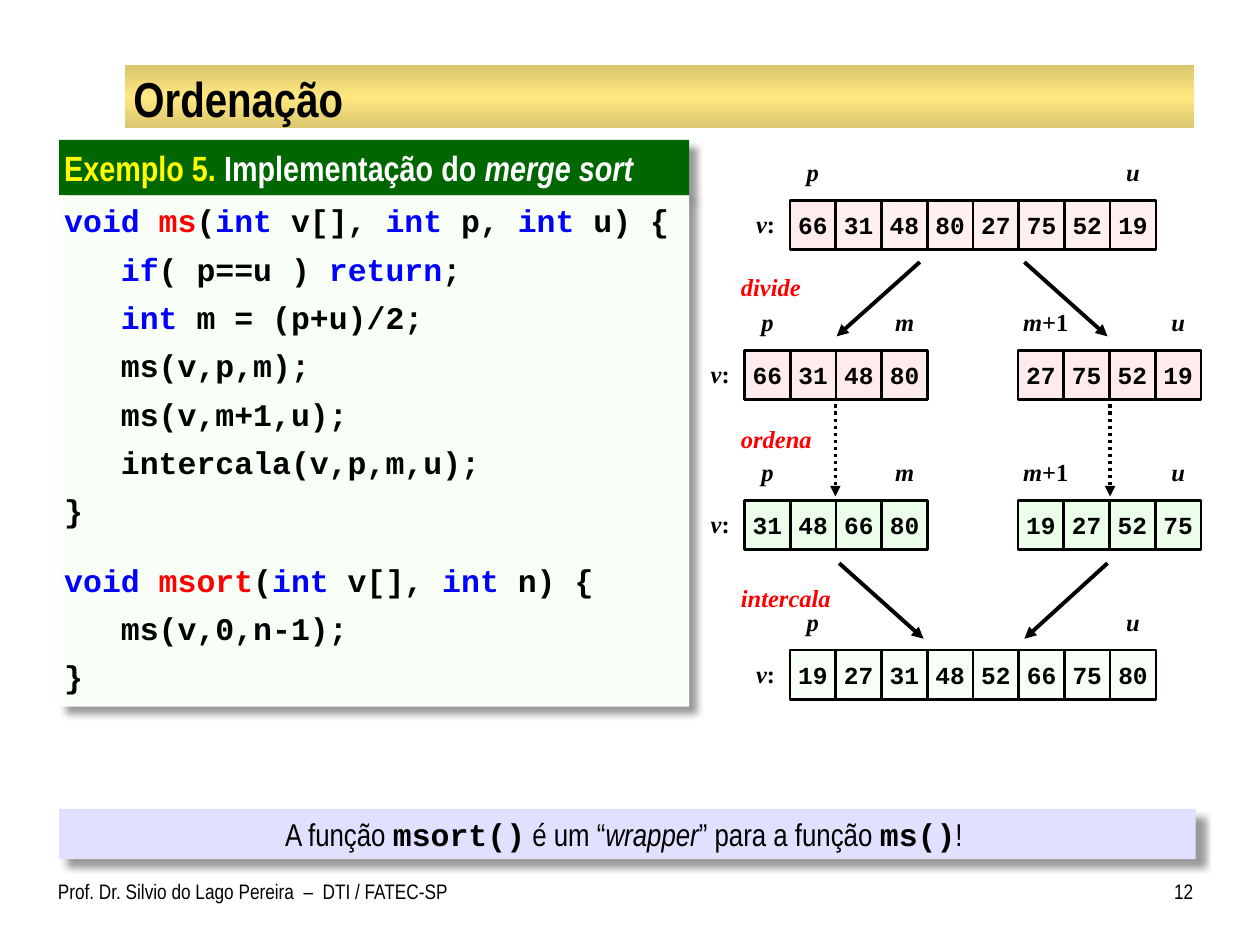
from dataclasses import dataclass
from lxml.etree import SubElement
from pptx import Presentation
from pptx.dml.color import RGBColor
from pptx.enum.dml import MSO_LINE
from pptx.enum.shapes import MSO_CONNECTOR, MSO_SHAPE
from pptx.enum.text import MSO_ANCHOR, PP_ALIGN
from pptx.oxml.ns import qn
from pptx.util import Inches, Pt


@dataclass(frozen=True)
class Theme:
    sans: str = "Arial Narrow"
    mono: str = "Courier New"
    serif: str = "Times New Roman"
    black: str = "000000"
    white: str = "FFFFFF"
    yellow: str = "FFFF00"
    red: str = "FF0000"
    blue: str = "0000FF"
    gold: str = "FFE781"
    dark_gold: str = "DAC66E"
    green: str = "006600"
    mint: str = "F7FFF7"
    lavender: str = "E1E1FF"
    pink: str = "FFEBEB"
    pale_pink: str = "FFEFEF"
    pale_green: str = "EBFFEB"
    title: int = 28
    heading: int = 20
    body: int = 18
    label: int = 14
    footer: int = 12


THEME = Theme()
COLUMNS, ROWS = 100, 75
CELL_WIDTH, CELL_HEIGHT = 3.63, 3.9
KEYWORDS = {"void", "int", "if", "return"}
FUNCTIONS = {"ms", "msort"}


def write(shape, paragraphs, font=THEME.sans, size=THEME.body, color=THEME.black,
          bold=False, italic=False, align=PP_ALIGN.LEFT, anchor=MSO_ANCHOR.TOP,
          insets=(0.1, 0.05, 0.1, 0.05), before=(), line_spacing=None):
    frame = shape.text_frame
    frame.word_wrap = True
    frame.vertical_anchor = anchor
    (frame.margin_left, frame.margin_top,
     frame.margin_right, frame.margin_bottom) = map(Inches, insets)
    for index, runs in enumerate(paragraphs):
        paragraph = frame.add_paragraph() if index else frame.paragraphs[0]
        paragraph.alignment = align
        if before:
            paragraph.space_before = Pt(before[index])
        if line_spacing:
            paragraph.line_spacing = line_spacing
        for text, changes in runs:
            style = dict(font=font, color=color, bold=bold, italic=italic) | changes
            run = paragraph.add_run()
            run.text = text
            run.font.name = style["font"]
            run.font.size = Pt(size)
            run.font.bold = style["bold"]
            run.font.italic = style["italic"]
            run.font.color.rgb = RGBColor.from_string(style["color"])


def highlight(line):
    runs = []
    for part in filter(None, line.split("|")):
        word = part.strip()
        color = (THEME.blue if word in KEYWORDS else
                 THEME.red if word in FUNCTIONS else THEME.black)
        runs.append((part, {"color": color}))
    return runs


class Board:
    def __init__(self, presentation):
        self.column = presentation.slide_width / COLUMNS
        self.row = presentation.slide_height / ROWS
        self.slide = presentation.slides.add_slide(presentation.slide_layouts[6])

    def place(self, left, top, width, height):
        return (round(left * self.column), round(top * self.row),
                round(width * self.column), round(height * self.row))

    def text(self, area, runs, **style):
        write(self.slide.shapes.add_textbox(*self.place(*area)), [runs], **style)

    def box(self, area, fill, paragraphs=(), outline=None, shadow=False, **style):
        shape = self.slide.shapes.add_shape(MSO_SHAPE.RECTANGLE, *self.place(*area))
        shape.shadow.inherit = False
        shape.fill.solid()
        shape.fill.fore_color.rgb = RGBColor.from_string(fill)
        if outline:
            shape.line.color.rgb = RGBColor.from_string(outline)
            shape.line.width = Pt(1.5)
        else:
            shape.line.fill.background()
        if shadow:
            effects = shape._element.spPr.find(qn("a:effectLst"))
            outer = SubElement(effects, qn("a:outerShdw"), blurRad=str(Pt(4)),
                               dist=str(Pt(6)), dir="2700000", algn="tl", rotWithShape="0")
            tint = SubElement(outer, qn("a:srgbClr"), val=THEME.black)
            SubElement(tint, qn("a:alpha"), val="40000")
        write(shape, paragraphs, **style)
        return shape

    def band(self, area):
        shape = self.box(area, THEME.gold)
        shape.fill.gradient()
        shape.fill.gradient_angle = 90
        stops = shape.fill._fill._gradFill.find(qn("a:gsLst"))
        for stop in list(stops):
            stops.remove(stop)
        for position, color in ((0, THEME.dark_gold), (50, THEME.gold), (100, THEME.dark_gold)):
            stop = SubElement(stops, qn("a:gs"), pos=str(position * 1000))
            SubElement(stop, qn("a:srgbClr"), val=color)

    def arrow(self, start, end, width=2.25, dash=None):
        connector = self.slide.shapes.add_connector(
            MSO_CONNECTOR.STRAIGHT, *self.place(*start, *end))
        connector.line.color.rgb = RGBColor.from_string(THEME.black)
        connector.line.width = Pt(width)
        if dash:
            connector.line.dash_style = dash
        SubElement(connector.line._get_or_add_ln(), qn("a:tailEnd"), type="triangle")
        SubElement(connector._element.spPr, qn("a:effectLst"))

    def label(self, left, top, text, width=CELL_WIDTH, align=PP_ALIGN.CENTER,
              color=THEME.black, upright=""):
        runs = [(text, {"italic": True})]
        if upright:
            runs.append((upright, {}))
        self.text((left, top, width, CELL_HEIGHT), runs, font=THEME.serif,
                  size=THEME.label, bold=True, color=color, align=align,
                  anchor=MSO_ANCHOR.MIDDLE, insets=(0, 0.05, 0, 0.05))

    def array(self, left, top, values, fill, first_fill=None):
        for index, value in enumerate(values):
            self.box((left + index * CELL_WIDTH, top, CELL_WIDTH, CELL_HEIGHT),
                     first_fill if first_fill and index == 0 else fill,
                     [[(str(value), {})]], outline=THEME.black, font=THEME.mono,
                     size=THEME.label, bold=True, align=PP_ALIGN.CENTER,
                     anchor=MSO_ANCHOR.MIDDLE, insets=(0, 0.05, 0, 0.05))


presentation = Presentation()
presentation.slide_width, presentation.slide_height = Inches(10), Inches(7.5)
board = Board(presentation)

board.band((9.9, 5.2, 84.9, 5))
board.text((10, 5.4, 84.7, 4.7), [("Ordenação", {})], size=THEME.title, bold=True,
           anchor=MSO_ANCHOR.MIDDLE, insets=(0.06, 0.01, 0.06, 0.01))
board.text((4.6, 69.2, 32.7, 4.2),
           [("Prof. Dr. Silvio do Lago Pereira  –  DTI / FATEC-SP", {})],
           size=THEME.footer, insets=(0, 0.05, 0.1, 0.05))
board.text((90.8, 69.2, 3.9, 4.2), [("12", {})], size=THEME.footer,
           align=PP_ALIGN.RIGHT, insets=(0.1, 0.05, 0, 0.05))

board.box((4.7, 11.1, 50, 4.4), THEME.green,
          [[("Exemplo 5.", {"color": THEME.yellow}), (" Implementação do ", {}),
            ("merge sort", {"italic": True})]],
          shadow=True, size=THEME.heading, color=THEME.white, bold=True,
          insets=(0.04, 0.05, 0.1, 0.05))
code = ["void |ms|(|int| v[], |int| p, |int| u) {",
        "   |if|( p==u ) |return|;",
        "   |int| m = (p+u)/2;",
        "   ms(v,p,m);",
        "   ms(v,m+1,u);",
        "   intercala(v,p,m,u);",
        "}",
        "void |msort|(|int| v[], |int| n) {",
        "   ms(v,0,n-1);",
        "}"]
board.box((4.7, 15.5, 50, 40.6), THEME.mint, [highlight(line) for line in code],
          shadow=True, font=THEME.mono, bold=True, insets=(0.04, 0.05, 0.04, 0.05),
          before=[18 if "msort" in line else 6 for line in code])

whole, left_half, right_half = 62.7, 59.1, 80.8
tops = [15.9 + 11.9 * level for level in range(4)]
levels = [
    [(whole, (66, 31, 48, 80, 27, 75, 52, 19), THEME.pale_pink, THEME.pink)],
    [(left_half, (66, 31, 48, 80), THEME.pink), (right_half, (27, 75, 52, 19), THEME.pink)],
    [(left_half, (31, 48, 66, 80), THEME.pale_green),
     (right_half, (19, 27, 52, 75), THEME.pale_green)],
    [(whole, (19, 27, 31, 48, 52, 66, 75, 80), THEME.mint)],
]
for top, arrays in zip(tops, levels):
    marker_top = top - 4.2
    first = arrays[0][0]
    last = arrays[-1][0] + (len(arrays[-1][1]) - 1) * CELL_WIDTH
    for left, values, *fills in arrays:
        board.array(left, top, values, *fills)
    board.label(first - 3.75, top - 0.1, "v", upright=":")
    board.label(first, marker_top, "p")
    board.label(last, marker_top, "u")
    if len(arrays) == 2:
        board.label(left_half + 3 * CELL_WIDTH, marker_top, "m")
        board.label(right_half, marker_top, "m", width=4.4, upright="+1")

for start_x, start_y, end_x, end_y in ((73, 20.8, 66.4, 26.7), (81.3, 20.8, 87.9, 26.7),
                                       (66.6, 44.7, 73.3, 50.7), (87.9, 44.7, 81.3, 50.7)):
    board.arrow((start_x, start_y), (end_x, end_y))
for center in (66.3, 88.1):
    board.arrow((center, 32.1), (center, 39.4), width=2, dash=MSO_LINE.ROUND_DOT)
for top, step in ((20.8, "divide"), (32.9, "ordena"), (45.5, "intercala")):
    board.label(58.8, top, step, width=8.7, align=PP_ALIGN.LEFT, color=THEME.red)

mono = {"font": THEME.mono, "bold": True}
board.box((4.7, 64.2, 90.2, 4), THEME.lavender,
          [[("A função ", {}), ("msort()", mono), (" é um “", {}),
            ("wrapper", {"italic": True}), ("” para a função ", {}),
            ("ms()", mono), ("! ", {})]],
          shadow=True, align=PP_ALIGN.CENTER)

presentation.save("out.pptx")
